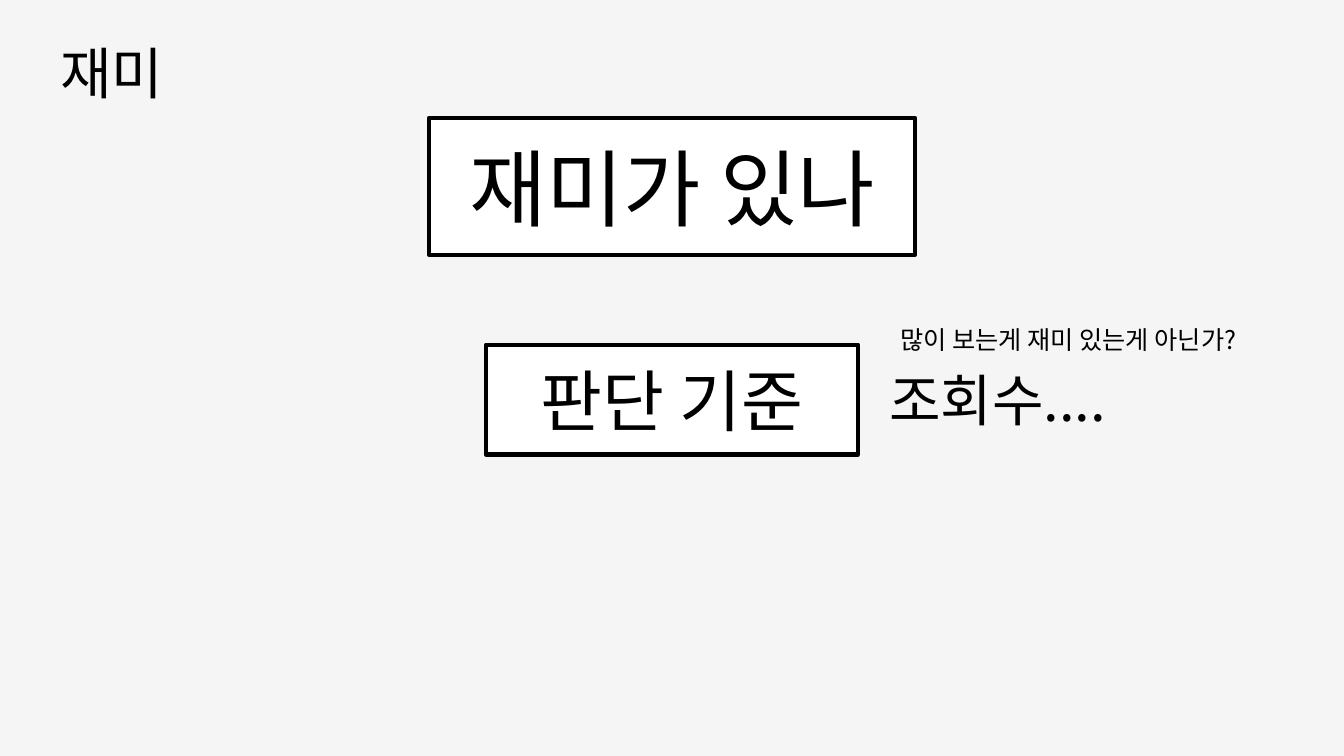
from lxml import etree
from pptx import Presentation
from pptx.dml.color import RGBColor
from pptx.enum.shapes import MSO_SHAPE
from pptx.enum.text import MSO_ANCHOR, MSO_AUTO_SIZE, PP_ALIGN
from pptx.oxml.ns import qn
from pptx.util import Inches, Pt

RECT = MSO_SHAPE.RECTANGLE
TOP, MIDDLE = MSO_ANCHOR.TOP, MSO_ANCHOR.MIDDLE
LEFT, CENTER = PP_ALIGN.LEFT, PP_ALIGN.CENTER
GROW = MSO_AUTO_SIZE.SHAPE_TO_FIT_TEXT

FONT = "Noto Sans CJK KR"
COLORS = {"ink": "000000", "box": "FFFFFF", "background": "F5F5F5"}
WIDTH, HEIGHT = 13.33, 7.5

TITLE = ("재미", 40, (0.5, 0.33, 1.32, 0.77))
BOXES = [
    ("재미가 있나", 60, 1.17, 4.82, 1.36),
    ("판단 기준", 48, 3.42, 3.69, 1.09),
]
NOTES = [
    ("조회수....", 40, (8.72, 3.58, 2.45, 0.77), False),
    ("많이 보는게 재미 있는게 아닌가?", 18, (8.83, 3.17, 4.4, 0.4), True),
]


def color(name):
    return RGBColor.from_string(COLORS[name])


def write(shape, text, size, align, anchor, wrap):
    tf = shape.text_frame
    tf.word_wrap = wrap
    tf.vertical_anchor = anchor
    p = tf.paragraphs[0]
    p.text = text
    p.alignment = align
    p.font.size = Pt(size)
    p.font.name = FONT
    p.font.color.rgb = color("ink")
    latin = p._p.pPr.find(qn("a:defRPr")).find(qn("a:latin"))
    ea = etree.Element(qn("a:ea"), typeface=FONT)
    latin.addnext(ea)
    return tf


prs = Presentation()
prs.slide_width, prs.slide_height = Inches(WIDTH), Inches(HEIGHT)
s = prs.slides.add_slide(prs.slide_layouts[5])
s.background.fill.solid()
s.background.fill.fore_color.rgb = color("background")

text, size, frame = TITLE
title = s.shapes.title
title.left, title.top, title.width, title.height = map(Inches, frame)
write(title, text, size, LEFT, TOP, False).auto_size = GROW

for text, size, top, width, height in BOXES:
    left = (WIDTH - width) / 2
    sp = s.shapes.add_shape(RECT, *map(Inches, (left, top, width, height)))
    sp.shadow.inherit = False
    sp.fill.solid()
    sp.fill.fore_color.rgb = color("box")
    sp.line.color.rgb = color("ink")
    sp.line.width = Pt(3)
    write(sp, text, size, CENTER, MIDDLE, True)

for text, size, frame, wrap in NOTES:
    sp = s.shapes.add_textbox(*map(Inches, frame))
    write(sp, text, size, LEFT, TOP, wrap).auto_size = GROW

prs.save("out.pptx")
